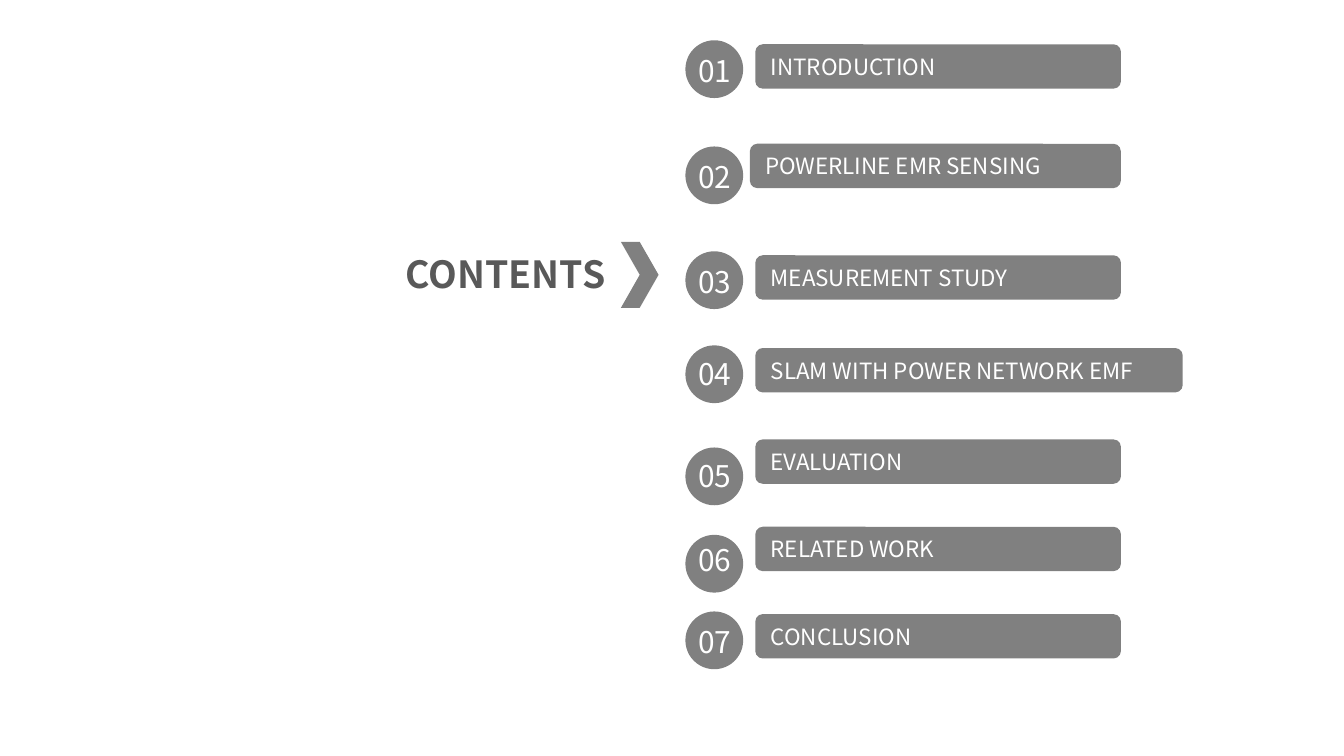
from pptx import Presentation
from pptx.dml.color import RGBColor
from pptx.enum import shapes, text
from pptx.util import Inches, Pt

# Content: label, bar left, bar top, bar width, circle top, number top
SECTIONS = [
    ("INTRODUCTION", 5.62, 0.33, 2.72, 0.30, 0.34),
    ("POWERLINE EMR SENSING", 5.58, 1.07, 2.76, 1.09, 1.13),
    ("MEASUREMENT STUDY", 5.62, 1.90, 2.72, 1.87, 1.91),
    ("SLAM WITH POWER NETWORK EMF", 5.62, 2.59, 3.18, 2.57, 2.60),
    ("EVALUATION", 5.62, 3.27, 2.72, 3.33, 3.36),
    ("RELATED WORK", 5.62, 3.92, 2.72, 3.98, 3.98),
    ("CONCLUSION", 5.62, 4.57, 2.72, 4.55, 4.59),
]
COLORS = {"gray": "808080", "heading": "595959", "white": "FFFFFF"}
FONT = "Noto Sans CJK SC"
SLIDE_WIDTH = 10
BAR_HEIGHT, CIRCLE_SIZE = 0.33, 0.43
CIRCLE_LEFT, NUMBER_LEFT = 5.1, 5.06

# Widescreen 16:9 slide
deck = Presentation()
deck.slide_width = Inches(SLIDE_WIDTH)
deck.slide_height = Inches(SLIDE_WIDTH * 9 / 16)
slide = deck.slides.add_slide(deck.slide_layouts[6])


def color(name):
    return RGBColor.from_string(COLORS[name])


def add_gray(kind, *box):
    shape = slide.shapes.add_shape(kind, *map(Inches, box))
    shape.shadow.inherit = False
    shape.fill.solid()
    shape.fill.fore_color.rgb = color("gray")
    shape.line.fill.background()
    return shape


def write(shape, words, size, ink="white", align=text.PP_ALIGN.LEFT, bold=False):
    frame = shape.text_frame
    frame.word_wrap = True
    frame.auto_size = text.MSO_AUTO_SIZE.SHAPE_TO_FIT_TEXT
    frame.vertical_anchor = text.MSO_ANCHOR.TOP
    paragraph = frame.paragraphs[0]
    paragraph.alignment = align
    run = paragraph.add_run()
    run.text = words
    for key, value in {"name": FONT, "size": Pt(size), "bold": bold}.items():
        setattr(run.font, key, value)
    run.font.color.rgb = color(ink)


def add_text(box, words, size, **style):
    write(slide.shapes.add_textbox(*map(Inches, box)), words, size, **style)


# Heading and chevron
add_text((2.92, 1.82, 2.31, 0.44), "CONTENTS", 20, ink="heading", bold=True)
add_gray(shapes.MSO_SHAPE.CHEVRON, 4.62, 1.8, 0.28, 0.49)

# Numbered sections
for number, section in enumerate(SECTIONS, 1):
    label, bar_left, bar_top, bar_width, circle_top, number_top = section
    bar = add_gray(shapes.MSO_SHAPE.ROUNDED_RECTANGLE,
                   bar_left, bar_top, bar_width, BAR_HEIGHT)
    write(bar, label, 12)
    add_gray(shapes.MSO_SHAPE.OVAL,
             CIRCLE_LEFT, circle_top, CIRCLE_SIZE, CIRCLE_SIZE)
    add_text((NUMBER_LEFT, number_top, 0.52, 0.37), f"{number:02}", 16,
             align=text.PP_ALIGN.CENTER)

deck.save("out.pptx")
